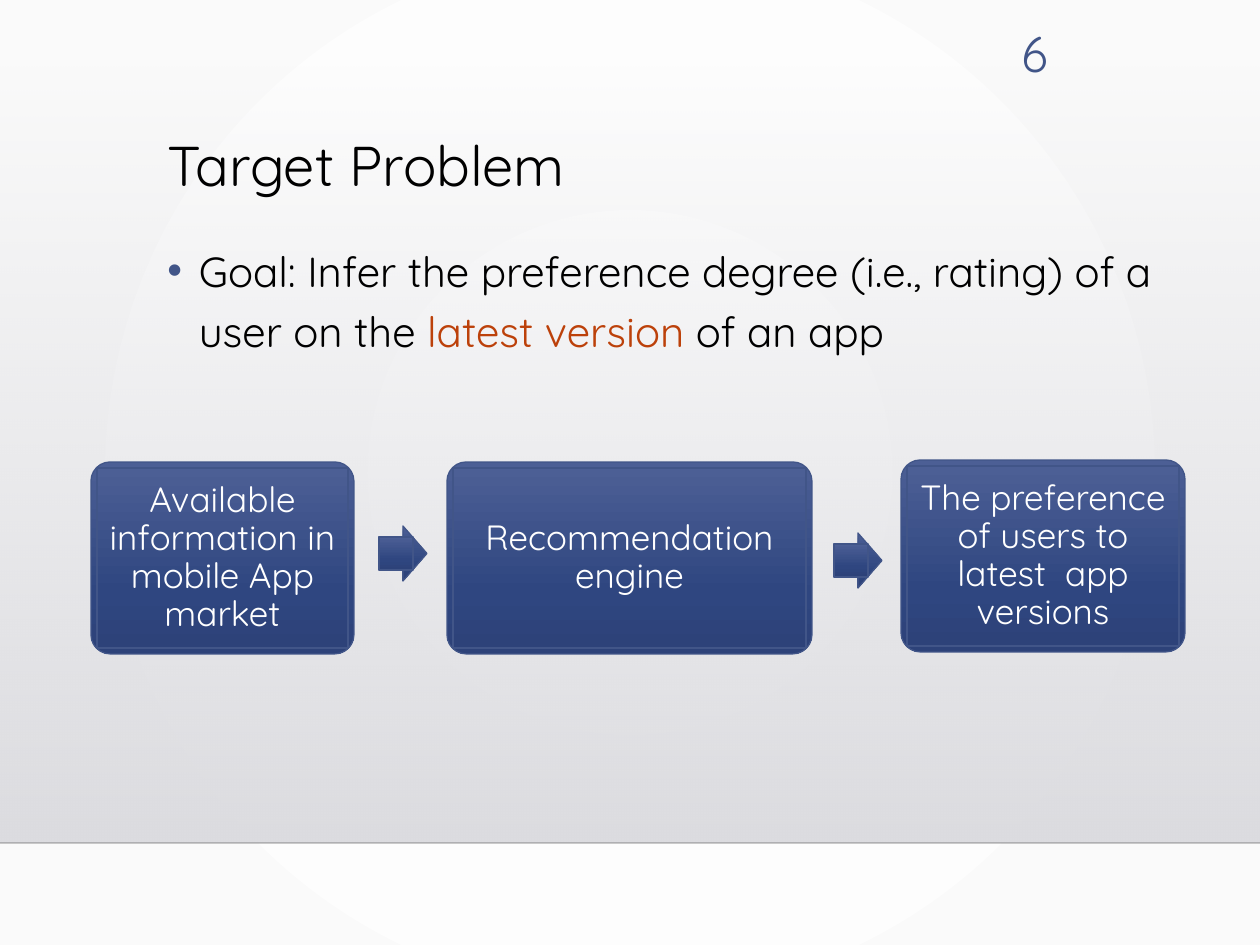
from dataclasses import dataclass

from lxml import etree
from pptx import Presentation
from pptx import util as u
from pptx.dml.color import RGBColor
from pptx.enum import shapes, text
from pptx.oxml.ns import qn

SCALE = u.Inches(1) / 126


def px(length):
    return u.Emu(round(length * SCALE))


def add_xml(parent, tag, **attributes):
    child = etree.SubElement(parent, qn(tag))
    for name, value in attributes.items():
        child.set(name, str(value))
    return child


@dataclass(frozen=True)
class Theme:
    font: str = "Quicksand"
    ink: str = "000000"
    white: str = "FFFFFF"
    blue: str = "415588"
    accent: str = "BC410A"
    rule: str = "000001"
    # Gradient stops: position in percent, colour, opacity in percent
    backdrop: tuple = ((0, "FFFFFF", 100), (100, "FAFAFA", 100))
    panel: tuple = ((0, "DCDCE0", 0), (100, "DEDEE2", 100))
    box: tuple = ((0, "4C5F95", 100), (69, "2F4680", 100), (100, "2D4279", 100))
    title_size: int = 32
    number_size: int = 28
    body_size: int = 24
    box_size: int = 20


class Deck:
    def __init__(self, theme):
        self.theme = theme
        self.presentation = Presentation()
        self.presentation.slide_width = px(1260)
        self.presentation.slide_height = px(945)
        self.slide = self.presentation.slides.add_slide(self.presentation.slide_layouts[5])

    def gradient(self, fill, owner, stops, radial=False):
        """Fill with stops, running downwards or outwards from the centre."""
        fill.gradient()
        gradient = owner.find(".//" + qn("a:gradFill"))
        for child in list(gradient):
            gradient.remove(child)
        stop_list = add_xml(gradient, "a:gsLst")
        for position, color, opacity in stops:
            stop = add_xml(stop_list, "a:gs", pos=position * 1000)
            color_element = add_xml(stop, "a:srgbClr", val=color)
            if opacity < 100:
                add_xml(color_element, "a:alpha", val=opacity * 1000)
        if radial:
            center = add_xml(gradient, "a:path", path="circle")
            add_xml(center, "a:fillToRect", l=50000, t=50000, r=50000, b=50000)
        else:
            add_xml(gradient, "a:lin", ang=5400000, scaled=0)

    def background(self):
        self.gradient(self.slide.background.fill, self.slide.element, self.theme.backdrop, radial=True)

    def shape(self, kind, left, top, width, height, stops, outlined=True, adjustments=()):
        shape = self.slide.shapes.add_shape(kind, px(left), px(top), px(width), px(height))
        shape.shadow.inherit = False
        self.gradient(shape.fill, shape.element.spPr, stops)
        if outlined:
            shape.line.color.rgb = RGBColor.from_string(self.theme.blue)
            shape.line.width = u.Pt(0.75)
        else:
            shape.line.fill.background()
        for index, value in enumerate(adjustments):
            shape.adjustments[index] = value
        return shape

    def rule(self, y, opacity):
        line = self.slide.shapes.add_connector(shapes.MSO_CONNECTOR.STRAIGHT, 0, px(y), px(1260), px(y))
        line.line.color.rgb = RGBColor.from_string(self.theme.rule)
        line.line.width = u.Pt(1)
        properties = line.element.spPr
        add_xml(properties.find(".//" + qn("a:srgbClr")), "a:alpha", val=opacity * 1000)
        add_xml(properties, "a:effectLst")

    def set_text(self, shape, content, size, color, align, anchor, spacing=1.0):
        frame = shape.text_frame
        frame.word_wrap = True
        frame.auto_size = text.MSO_AUTO_SIZE.NONE
        frame.vertical_anchor = anchor
        paragraph = frame.paragraphs[0]
        paragraph.text = content
        paragraph.alignment = align
        paragraph.line_spacing = spacing
        paragraph.font.name = self.theme.font
        paragraph.font.size = u.Pt(size)
        paragraph.font.color.rgb = RGBColor.from_string(color)
        return paragraph

    def title(self, content, left, top, width, height):
        title = self.slide.shapes.title
        title.left, title.top, title.width, title.height = map(px, (left, top, width, height))
        self.set_text(title, content, self.theme.title_size, self.theme.ink,
                      text.PP_ALIGN.LEFT, text.MSO_ANCHOR.TOP, 0.9)

    def slide_number(self, content, left, top, width, height):
        box = self.slide.shapes.add_textbox(px(left), px(top), px(width), px(height))
        self.set_text(box, content, self.theme.number_size, self.theme.blue,
                      text.PP_ALIGN.RIGHT, text.MSO_ANCHOR.MIDDLE)

    def bullet(self, parts, left, top, width, height):
        """Add one bulleted paragraph from (text, colour) parts."""
        box = self.slide.shapes.add_textbox(px(left), px(top), px(width), px(height))
        paragraph = self.set_text(box, "", self.theme.body_size, self.theme.ink,
                                  text.PP_ALIGN.LEFT, text.MSO_ANCHOR.TOP, 1.2)
        paragraph.space_before = u.Pt(10)
        for content, color in parts:
            run = paragraph.add_run()
            run.text = content
            run.font.color.rgb = RGBColor.from_string(color)
        properties = paragraph._p.get_or_add_pPr()
        properties.set("marL", str(u.Inches(0.25)))
        properties.set("indent", str(-u.Inches(0.25)))
        marks = [etree.Element(qn(tag)) for tag in ("a:buClr", "a:buFont", "a:buChar")]
        add_xml(marks[0], "a:srgbClr", val=self.theme.blue)
        marks[1].set("typeface", "Arial")
        marks[2].set("char", "•")
        default_font = properties.find(qn("a:defRPr"))
        for mark in marks:
            default_font.addprevious(mark)

    def box(self, content, left, top, width, height=192, inset=6):
        """Draw a rounded box with an inner panel that holds its text."""
        self.shape(shapes.MSO_SHAPE.ROUNDED_RECTANGLE, left, top, width, height,
                   self.theme.box, adjustments=(0.1,))
        panel = self.shape(shapes.MSO_SHAPE.RECTANGLE, left + inset, top + inset,
                           width - 2 * inset, height - 2 * inset, self.theme.box)
        frame = panel.text_frame
        frame.margin_left = frame.margin_right = frame.margin_top = frame.margin_bottom = px(10)
        self.set_text(panel, content, self.theme.box_size, self.theme.white,
                      text.PP_ALIGN.CENTER, text.MSO_ANCHOR.MIDDLE, 0.9)

    def arrow(self, left, top, width=48, height=55):
        self.shape(shapes.MSO_SHAPE.RIGHT_ARROW, left, top, width, height,
                   self.theme.box, adjustments=(0.6, 0.5))
        self.shape(shapes.MSO_SHAPE.RECTANGLE, left, top + height // 5, 34, height * 3 // 5, self.theme.box)


def main():
    theme = Theme()
    deck = Deck(theme)
    deck.background()
    deck.shape(shapes.MSO_SHAPE.RECTANGLE, 0, 64, 1260, 779, theme.panel, outlined=False)
    deck.rule(843, opacity=20)
    # The title placeholder comes first by default; lift it above the panel.
    title = deck.slide.shapes.title.element
    title.getparent().append(title)
    deck.title("Target Problem", 155, 132, 906, 145)
    deck.bullet((
        ("Goal: Infer the preference degree (i.e., rating) of a user on the ", theme.ink),
        ("latest version", theme.accent),
        (" of an app", theme.ink),
    ), 155, 229, 1023, 523)
    deck.slide_number("6", 950, 18, 110, 69)
    for content, left, top, width in (
        ("Available information in mobile App market", 91, 462, 263),
        ("Recommendation engine", 447, 462, 365),
        ("The preference of users to latest  app versions", 901, 460, 284),
    ):
        deck.box(content, left, top, width)
    for left, top in ((379, 526), (834, 533)):
        deck.arrow(left, top)
    deck.presentation.save("out.pptx")


if __name__ == "__main__":
    main()
